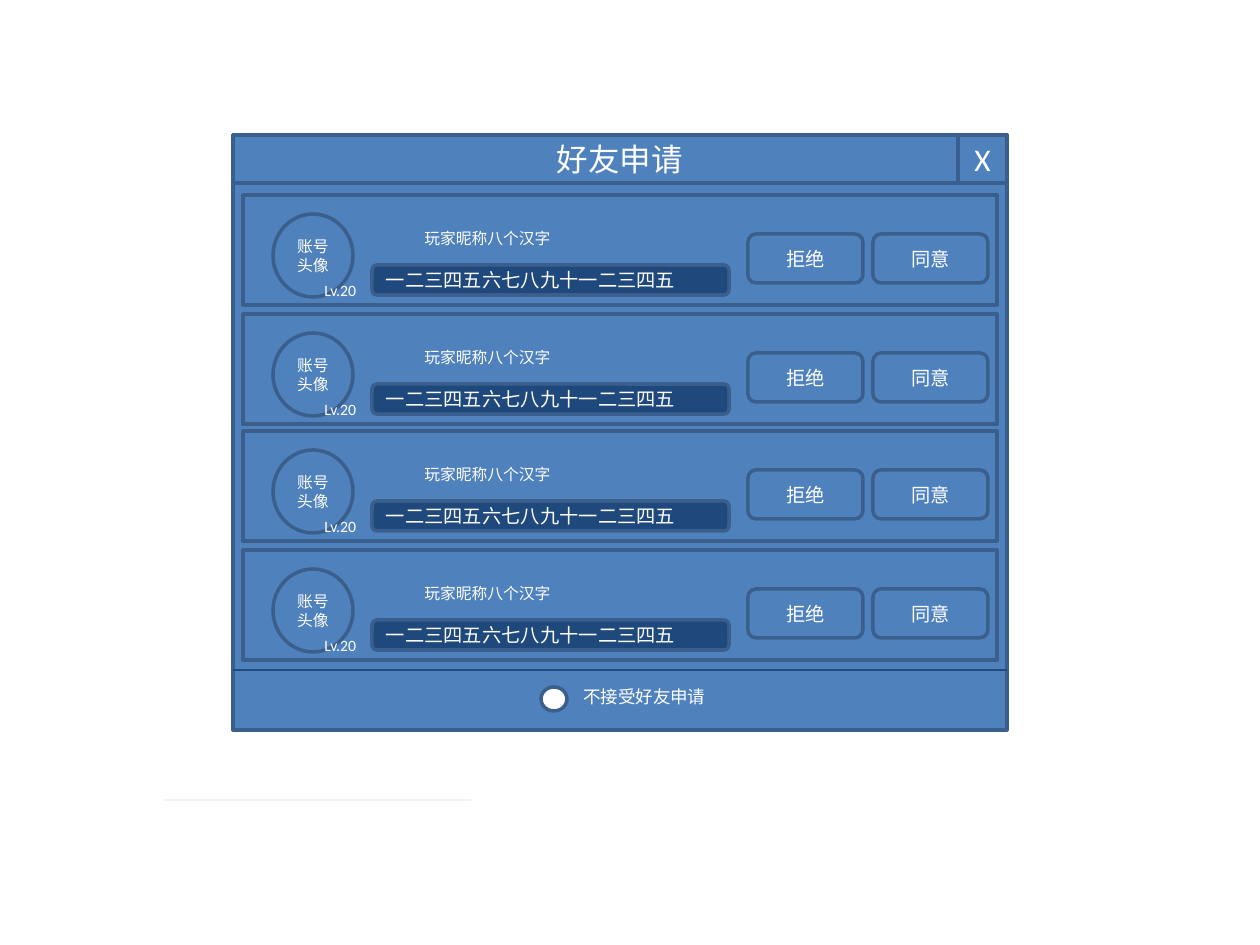
from lxml.etree import SubElement
from pptx import Presentation
from pptx.dml.color import RGBColor
from pptx.enum.shapes import MSO_CONNECTOR, MSO_SHAPE as SHAPE
from pptx.enum.text import MSO_ANCHOR, MSO_AUTO_SIZE, PP_ALIGN
from pptx.oxml.ns import qn
from pptx.util import Emu, Pt

# Content
TITLE, CLOSE = "好友申请", "X"
REQUEST = dict(avatar="账号头像", level="Lv.20", name="玩家昵称八个汉字",
               message="一二三四五六七八九十一二三四五")
REQUESTS = [REQUEST] * 4
BUTTONS = ["拒绝", "同意"]
OPT_OUT = "不接受好友申请"

# Style and layout, in px
COLORS = dict(panel="4F81BD", edge="3A5F8C", dark="1F497D",
              white="FFFFFF", pale="F2F2F2")
FONT = "Calibri"
PX = 914400 // 126
PANEL_X, PANEL_Y, PANEL_W, PANEL_H = 233, 135, 774, 595
HEADER_H, CLOSE_W = 48, 49
ROW_X, ROW_W, ROW_H = 243, 754, 110
ROW_TOPS = [195, 314, 431, 550]
BUTTON_X, BUTTON_W, BUTTON_PITCH = 748, 115, 125
FOOTER_Y = 670


def px(n):
    return Emu(n * PX)


def rgb(name):
    return RGBColor.from_string(COLORS[name])


def write(sp, text, size, align=PP_ALIGN.CENTER):
    tf = sp.text_frame
    tf.text = text
    p = tf.paragraphs[0]
    p.alignment = align
    font = p.runs[0].font
    font.name, font.size = FONT, Pt(size)
    font.color.rgb = rgb("white")


def paint(sp, fill="panel"):
    sp.fill.solid()
    sp.fill.fore_color.rgb = rgb(fill)
    sp.line.color.rgb = rgb("edge")
    sp.line.width = Pt(2)


def add_box(kind, x, y, w, h, text="", size=11, fill="panel",
            align=PP_ALIGN.CENTER):
    sp = s.shapes.add_shape(kind, px(x), px(y), px(w), px(h))
    sp.shadow.inherit = False
    paint(sp, fill)
    if text:
        sp.text_frame.vertical_anchor = MSO_ANCHOR.MIDDLE
        write(sp, text, size, align)


def add_label(x, y, w, h, text, size):
    sp = s.shapes.add_textbox(px(x), px(y), px(w), px(h))
    sp.text_frame.word_wrap = False
    sp.text_frame.auto_size = MSO_AUTO_SIZE.SHAPE_TO_FIT_TEXT
    write(sp, text, size, PP_ALIGN.LEFT)


def add_rule(x1, x2, y, color, width):
    line = s.shapes.add_connector(MSO_CONNECTOR.STRAIGHT,
                                  px(x1), px(y), px(x2), px(y))
    line.line.color.rgb = rgb(color)
    line.line.width = Pt(width)
    SubElement(line._element.spPr, qn("a:effectLst"))


def add_request(y, request):
    add_box(SHAPE.RECTANGLE, ROW_X, y, ROW_W, ROW_H)
    add_box(SHAPE.FLOWCHART_CONNECTOR, 273, y + 19, 80, 83,
            request["avatar"], 9)
    add_label(312, y + 80, 59, 32, request["level"], 9)
    add_label(412, y + 28, 169, 32, request["name"], 9)
    add_box(SHAPE.ROUNDED_RECTANGLE, 372, y + 70, 357, 30,
            request["message"], 11, "dark", PP_ALIGN.LEFT)
    for i, caption in enumerate(BUTTONS):
        add_box(SHAPE.ROUNDED_RECTANGLE, BUTTON_X + i * BUTTON_PITCH, y + 39,
                BUTTON_W, 49, caption)


prs = Presentation()
prs.slide_width, prs.slide_height = px(1260), px(945)
s = prs.slides.add_slide(prs.slide_layouts[5])

# Panel and header, with the title raised above the panel
add_box(SHAPE.RECTANGLE, PANEL_X, PANEL_Y, PANEL_W, PANEL_H)
title = s.shapes.title
s.shapes._spTree.append(title._element)
title.left, title.top = px(PANEL_X), px(PANEL_Y)
title.width, title.height = px(PANEL_W), px(HEADER_H)
paint(title)
title.text_frame.auto_size = MSO_AUTO_SIZE.NONE
title.text_frame.vertical_anchor = MSO_ANCHOR.MIDDLE
write(title, TITLE, 18)
add_box(SHAPE.RECTANGLE, PANEL_X + PANEL_W - CLOSE_W, PANEL_Y,
        CLOSE_W, HEADER_H, CLOSE, 18)

# Friend requests
for top, request in zip(ROW_TOPS, REQUESTS):
    add_request(top, request)

# Footer with the opt-out choice
add_box(SHAPE.FLOWCHART_CONNECTOR, 541, 687, 26, 24, fill="white")
add_rule(PANEL_X + PANEL_W, PANEL_X, FOOTER_Y, "dark", 1.5)
add_label(571, 680, 179, 34, OPT_OUT, 10)

# Pale rule below the panel
add_rule(471, 164, 800, "pale", 1)

prs.save("out.pptx")
